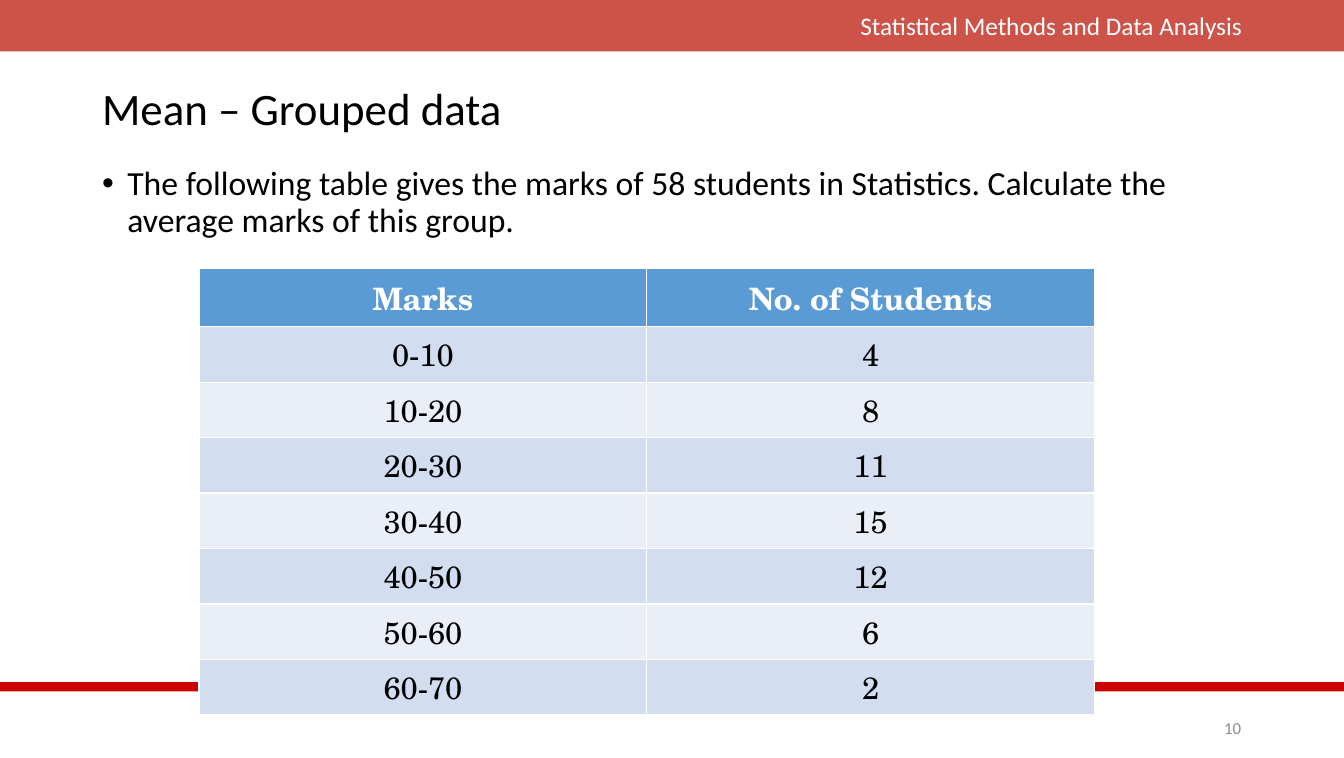
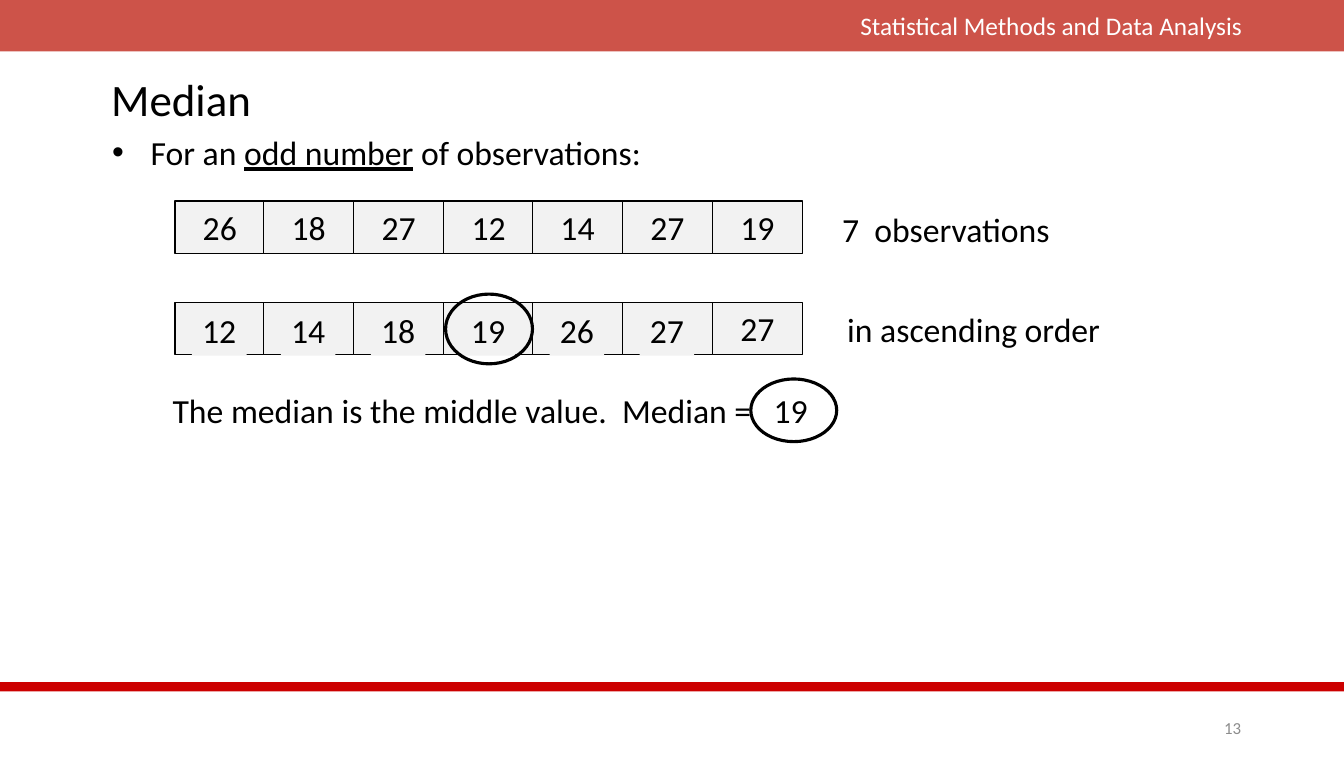
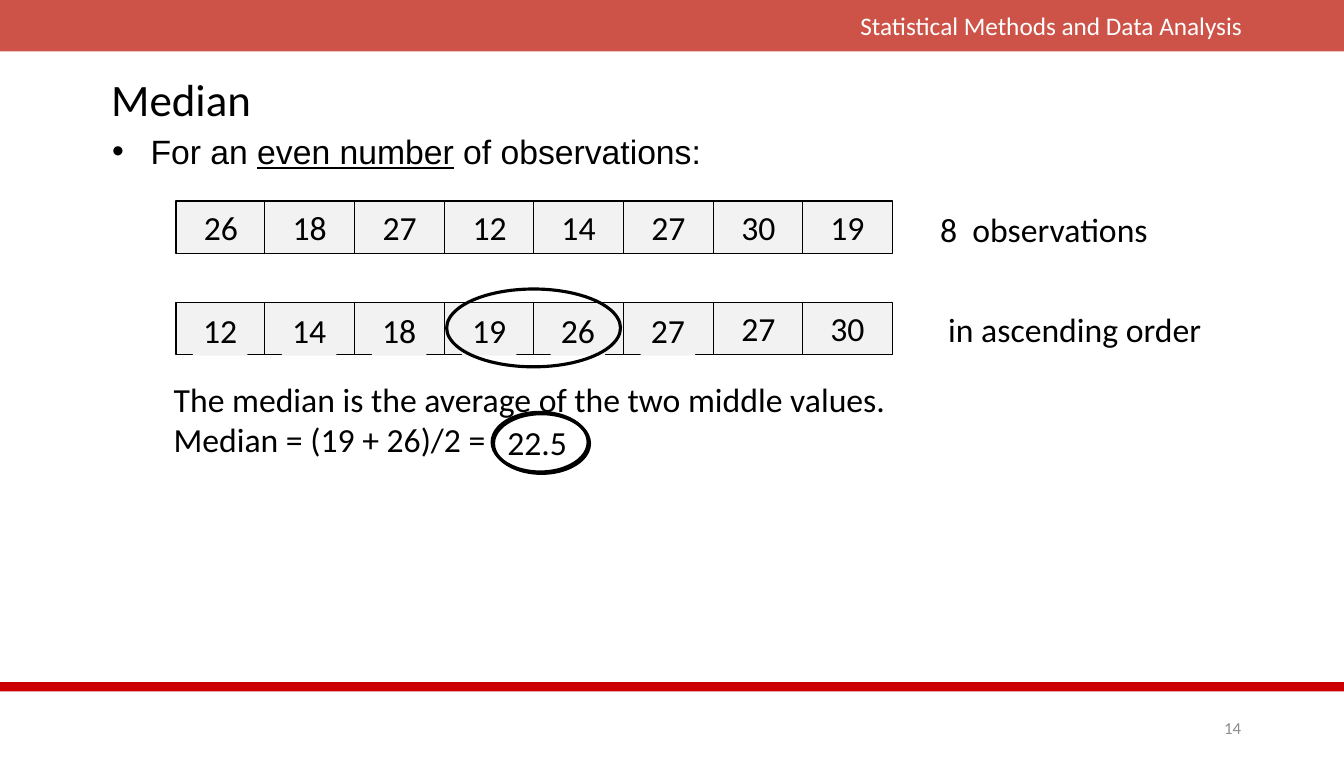
"""Build three statistics slides: a grouped mean and two medians."""
from lxml.etree import SubElement
from pptx import Presentation
from pptx.dml.color import RGBColor
from pptx.enum.shapes import MSO_SHAPE as Form
from pptx.enum.text import MSO_ANCHOR as Anchor, MSO_AUTO_SIZE as Fit, PP_ALIGN as Align
from pptx.oxml.ns import qn
from pptx.util import Emu, Pt

PX = 9144
WIDE, HIGH = 1330, 750
BLACK = RGBColor(0x00, 0x00, 0x00)
WHITE = RGBColor(0xFF, 0xFF, 0xFF)
BRICK = RGBColor(0xBF, 0x23, 0x17)
RED = RGBColor(0xCC, 0x00, 0x00)
GRAY = RGBColor(0x8C, 0x8C, 0x8C)
PALE = RGBColor(0xF2, 0xF2, 0xF2)
BLUE = RGBColor(0x5B, 0x9B, 0xD5)
BANDS = [RGBColor(0xEA, 0xEF, 0xF7), RGBColor(0xD2, 0xDE, 0xEF)]
SANS, SERIF = "Calibri", "TeX Gyre Schola"


def draw(slide, form, at, fill=None, pen=0):
    """Add a preset shape at a px box, with a plain fill and a black line."""
    shape = slide.shapes.add_shape(form, *[Emu(n * PX) for n in at])
    shape.shadow.inherit = False
    if fill is None:
        shape.fill.background()
    else:
        shape.fill.solid()
        shape.fill.fore_color.rgb = fill
    if pen:
        shape.line.color.rgb = BLACK
        shape.line.width = Pt(pen)
    else:
        shape.line.fill.background()
    return shape


def write(shape, words, at=None, size=24, color=BLACK, align=Align.CENTER,
          anchor=Anchor.MIDDLE, lead=1.0, font=SANS, side=10):
    """Put words into a shape, or into a new text box if given a slide and a box."""
    if at:
        shape = shape.shapes.add_textbox(*[Emu(n * PX) for n in at])
    frame = shape.text_frame
    frame.text = words
    frame.word_wrap = True
    frame.auto_size = Fit.NONE
    frame.vertical_anchor = anchor
    frame.margin_left = frame.margin_right = Emu(side * PX)
    for para in frame.paragraphs:
        para.alignment = align
        para.line_spacing = lead
        para.font.size = Pt(size)
        para.font.name = font
        para.font.color.rgb = color
    return shape


deck = Presentation()
deck.slide_width, deck.slide_height = Emu(WIDE * PX), Emu(HIGH * PX)
layout = deck.slide_layouts[1]

pages = [
    dict(title="Mean – Grouped data", spot=(91, 70, 1147, 80), num="10",
         list=(91, 160, 1147, 508), top=Anchor.TOP, hang=25, lead=0.9, gap=10, font=SANS,
         runs=["The following table gives the marks of 58 students in Statistics. "
               "Calculate the average marks of this group."]),
    dict(title="Median", spot=(100, 63, 1131, 75), num="13",
         list=(101, 114, 1136, 73), top=Anchor.MIDDLE, hang=38, lead=1.0, gap=0, font=SANS,
         runs=["For an ", "odd number", " of observations:"]),
    dict(title="Median", spot=(100, 63, 1131, 75), num="14",
         list=(101, 111, 1136, 76), top=Anchor.MIDDLE, hang=38, lead=1.0, gap=0, font="Arial",
         runs=["For an ", "even number", " of observations:"]),
]
slides = [deck.slides.add_slide(layout) for page in pages]

head = draw(slides[0], Form.RECTANGLE, (0, 0, WIDE, 51), BRICK)
tint = head.fill._xPr.find(qn("a:solidFill"))[0]
SubElement(tint, qn("a:alpha"), val="78000")
course = write(slides[0], "Statistical Methods and Data Analysis", (607, 5, 632, 40),
               18, WHITE, Align.RIGHT, Anchor.TOP)
foot = draw(slides[0], Form.RECTANGLE, (0, 675, WIDE, 9), RED)
for part in (head, course, foot):
    layout.shapes.element.append(part.element)

for slide, page in zip(slides, pages):
    title, body = slide.placeholders
    for holder, box in ((title, page["spot"]), (body, page["list"])):
        holder.left, holder.top, holder.width, holder.height = [Emu(n * PX) for n in box]
    write(title, page["title"], size=32, align=Align.LEFT, lead=0.9)
    write(body, "", align=Align.LEFT, anchor=page["top"], lead=page["lead"], font=page["font"])
    para = body.text_frame.paragraphs[0]
    para.space_before = Pt(page["gap"])
    props = para._p.get_or_add_pPr()
    props.set("marL", str(page["hang"] * PX))
    props.set("indent", str(-page["hang"] * PX))
    for i, words in enumerate(page["runs"]):
        run = para.add_run()
        run.text = words
        if i == 1:
            run.font.underline = True
    write(slide, page["num"], (1170, 705, 68, 30), 12, GRAY, Align.RIGHT)

marks = [("Marks", "No. of Students"), ("0-10", "4"), ("10-20", "8"), ("20-30", "11"),
         ("30-40", "15"), ("40-50", "12"), ("50-60", "6"), ("60-70", "2")]
grid = slides[0].shapes.add_table(
    len(marks), 2, *[Emu(n * PX) for n in (197, 266, 886, 41 * len(marks))]).table
for r, row in enumerate(marks):
    for c, words in enumerate(row):
        cell = grid.cell(r, c)
        cell.fill.solid()
        cell.fill.fore_color.rgb = BANDS[r % 2] if r else BLUE
        cell.text = words
        para = cell.text_frame.paragraphs[0]
        para.alignment = Align.CENTER
        para.font.size = Pt(22)
        para.font.name = SERIF
        para.font.bold = r == 0
        para.font.color.rgb = BANDS and (BLACK if r else WHITE)

cases = [
    dict(left=173, data=[26, 18, 27, 12, 14, 27, 19], count=(822, 206, 228, 46),
         order=(827, 301, 273, 51), ring=(441, 291, 86, 69), goal=(743, 375, 85, 62),
         note=(161, 359, 740, 94), answer="19",
         words="The median is the middle value.  Median ="),
    dict(left=174, data=[26, 18, 27, 12, 14, 27, 30, 19], count=(919, 206, 228, 46),
         order=(927, 301, 273, 51), ring=(442, 286, 172, 77), goal=(487, 408, 95, 59),
         note=(162, 375, 1061, 79), answer="22.5",
         words="The median is the average of the two middle values.\nMedian = (19 + 26)/2 ="),
]
for slide, case in zip(slides[1:], cases):
    data = case["data"]
    for top, row in ((199, data), (299, sorted(data))):
        for i, value in enumerate(row):
            left = case["left"] + i * 532 // 6
            cell = draw(slide, Form.RECTANGLE, (left, top, 89, 52), PALE, 1)
            if top == 299 and i < 6:
                cell = draw(slide, Form.RECTANGLE, (left + 17, top + 2, 54, 51), PALE)
            write(cell, str(value), side=0)
    write(slide, f"{len(data)}  observations", case["count"], anchor=Anchor.TOP, lead=0.9)
    write(slide, "in ascending order", case["order"], anchor=Anchor.TOP)
    write(slide, case["words"], case["note"], align=Align.LEFT)
    draw(slide, Form.OVAL, case["ring"], pen=2.25)
    goal = draw(slide, Form.OVAL, case["goal"], pen=2.25)
    x, y, w, h = case["goal"]
    write(slide, case["answer"], (x - 3, y, w, h), side=0)

cast = SubElement(goal.element.spPr.find(qn("a:effectLst")), qn("a:outerShdw"),
                  dist=str(Pt(1.4)), dir="2700000", algn="ctr", rotWithShape="0")
SubElement(cast, qn("a:srgbClr"), val=str(BLACK))

deck.save("out.pptx")
